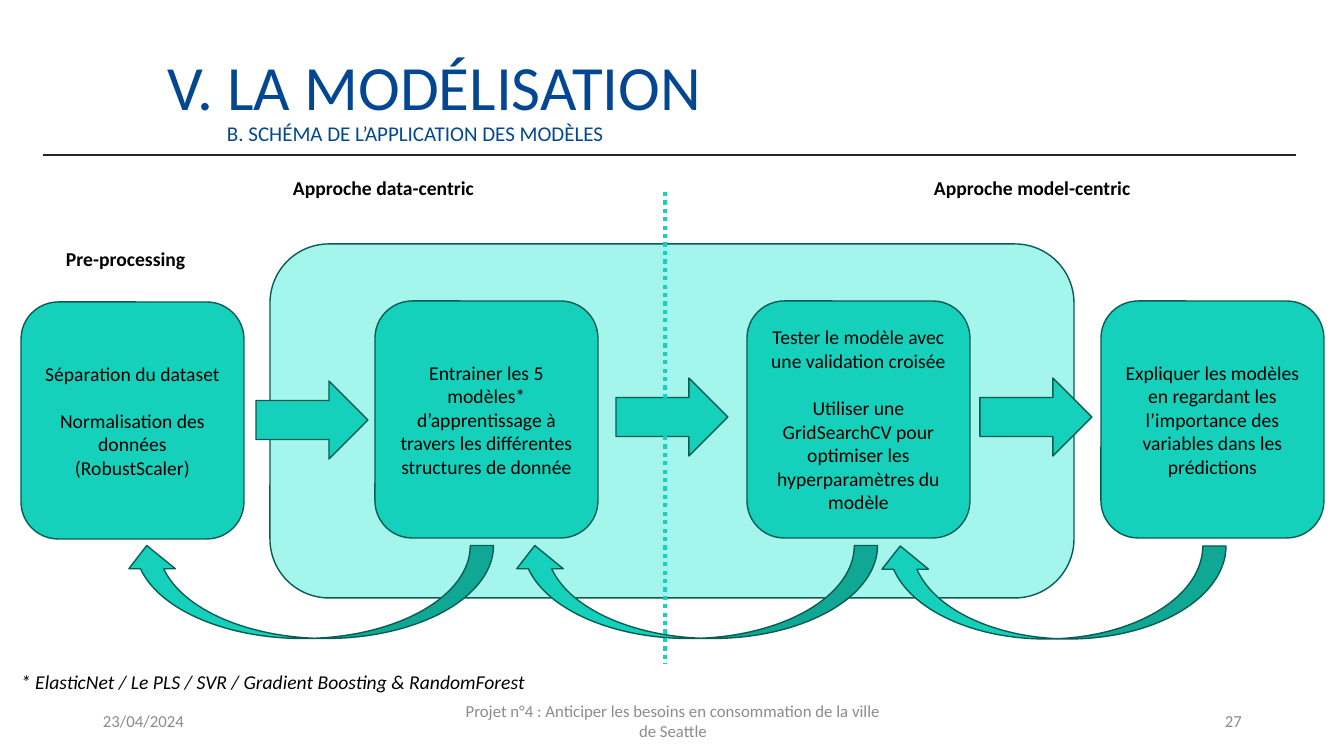
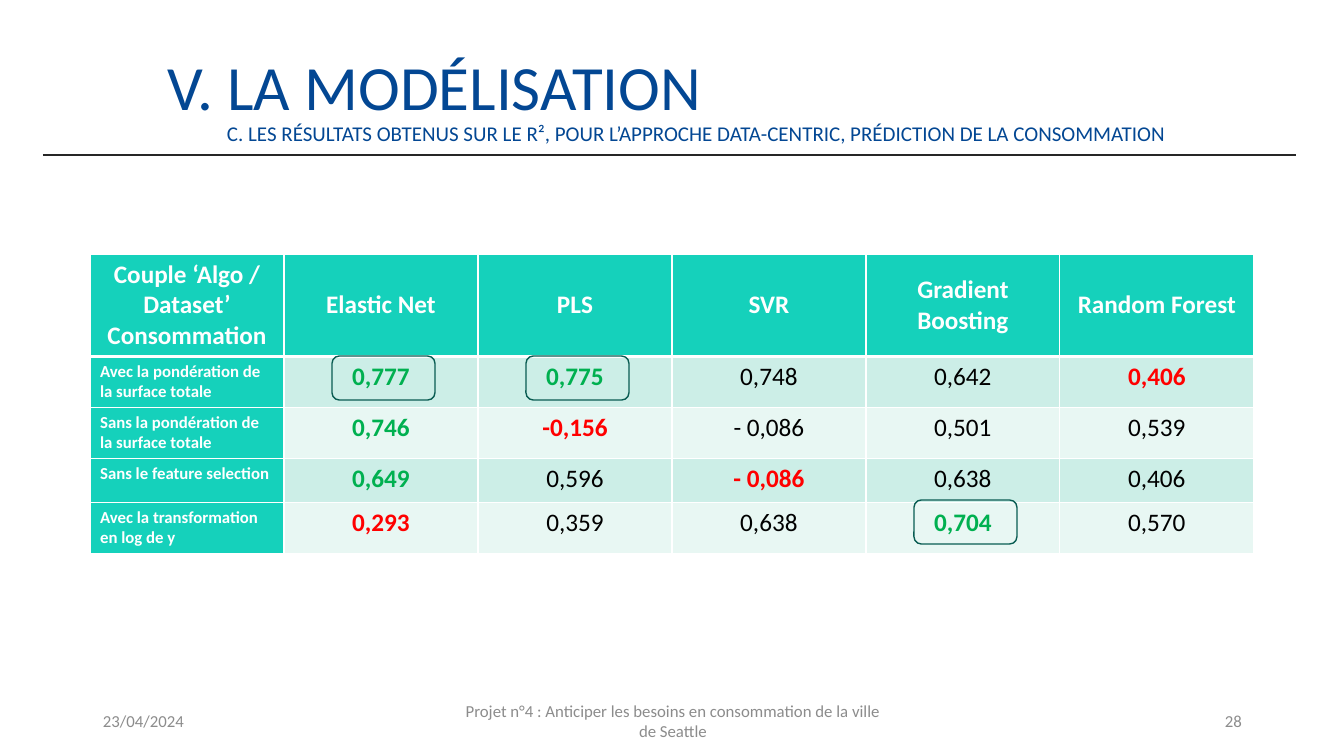
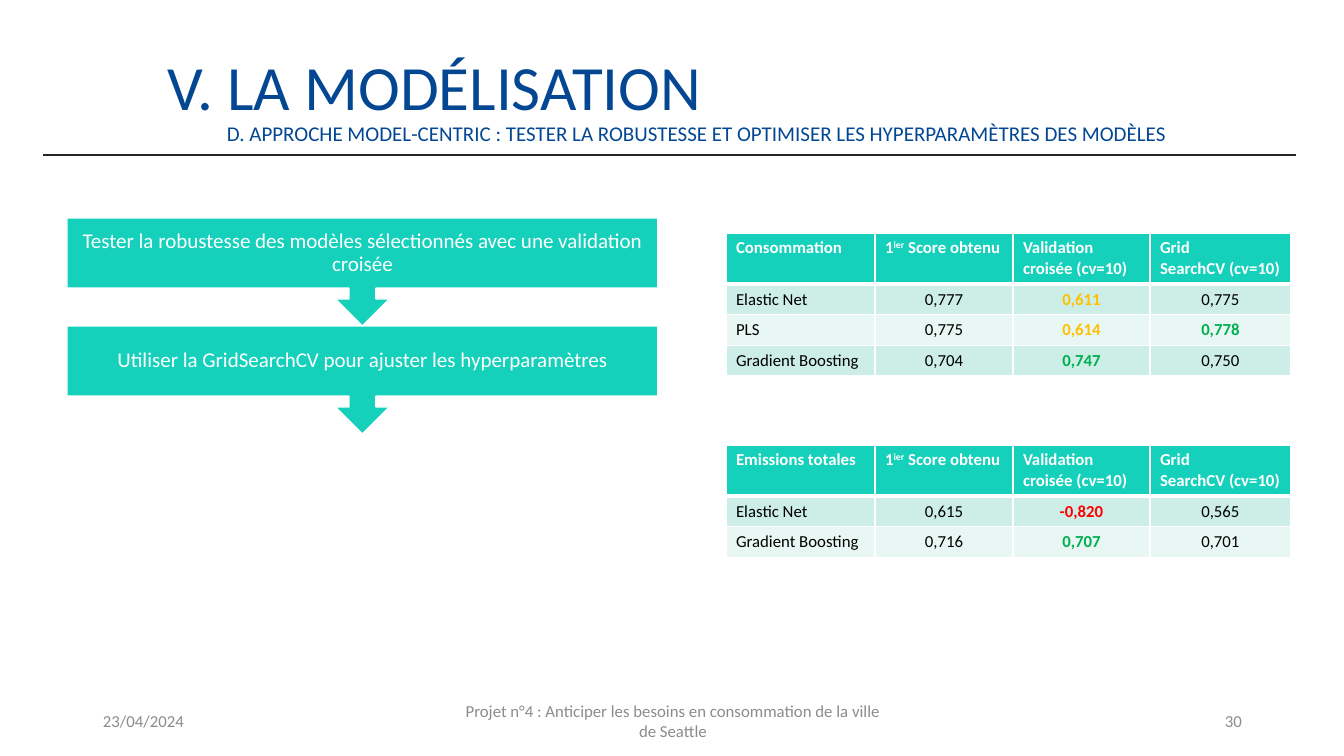
from lxml import etree
from pptx import Presentation
from pptx.dml.color import RGBColor
from pptx.enum.dml import MSO_LINE
from pptx.enum.shapes import MSO_CONNECTOR, MSO_SHAPE as SHAPE
from pptx.enum.text import MSO_ANCHOR as ANCHOR, PP_ALIGN as ALIGN
from pptx.oxml import parse_xml
from pptx.oxml.ns import nsdecls, qn
from pptx.util import Pt

SCALE = 914400 / 100.8
FONT = "Calibri"
TEAL = RGBColor(0x15, 0xD1, 0xBB)
PALE_TEAL = RGBColor(0xA4, 0xF6, 0xEC)
DARK_TEAL = RGBColor(0x09, 0x5C, 0x52)
BAND_DARK = RGBColor(0xCC, 0xEE, 0xE7)
BAND_LIGHT = RGBColor(0xE8, 0xF7, 0xF3)
NAVY = RGBColor(0x03, 0x47, 0x93)
CHARCOAL = RGBColor(0x26, 0x26, 0x26)
GREY = RGBColor(0x8C, 0x8C, 0x8C)
BLACK = RGBColor(0, 0, 0)
WHITE = RGBColor(0xFF, 0xFF, 0xFF)
GREEN = RGBColor(0, 0xB0, 0x50)
RED = RGBColor(0xFF, 0, 0)
AMBER = RGBColor(0xFF, 0xC0, 0)
MARKS = {"+": GREEN, "!": RED, "~": AMBER}


def px(*lengths):
    return [round(length * SCALE) for length in lengths]


def write(frame, text, size=14, color=BLACK, bold=False, italic=False, align=ALIGN.LEFT,
          anchor=ANCHOR.TOP, side=10, spacing=None, gap=0):
    frame.word_wrap = True
    frame.vertical_anchor = anchor
    frame.margin_left, frame.margin_right, frame.margin_top, frame.margin_bottom = px(side, side, 5, 5)
    for index, line in enumerate(text.split("\n")):
        paragraph = frame.add_paragraph() if index else frame.paragraphs[0]
        paragraph.alignment = align
        if spacing:
            paragraph.line_spacing = spacing
        if gap and index == 1:
            paragraph.space_before = Pt(gap)
        for part, piece in enumerate(line.split("^")):
            run = paragraph.add_run()
            run.text = piece
            font = run.font
            font.name, font.size, font.bold, font.italic = FONT, Pt(size), bold, italic
            font.color.rgb = color
            if part % 2:
                run._r.get_or_add_rPr().set("baseline", "30000")


presentation = Presentation()
presentation.slide_width, presentation.slide_height = px(1344, 756)

headings = [
    ("B. SCHÉMA DE L’APPLICATION DES MODÈLES", "27"),
    ("C. LES RÉSULTATS OBTENUS SUR LE R², POUR L’APPROCHE DATA-CENTRIC, PRÉDICTION DE LA CONSOMMATION", "28"),
    ("D. APPROCHE MODEL-CENTRIC : TESTER LA ROBUSTESSE ET OPTIMISER LES HYPERPARAMÈTRES DES MODÈLES", "30"),
]
footer = "Projet n°4 : Anticiper les besoins en consommation de la ville de Seattle"
footer_style = dict(size=12, color=GREY, anchor=ANCHOR.MIDDLE)
heading_style = dict(color=NAVY, side=0, spacing=0.9)
slides, texts, lines = [], [], []
for subtitle, number in headings:
    slide = presentation.slides.add_slide(presentation.slide_layouts[6])
    slides.append(slide)
    lines.append((slide, (43, 155, 1296, 155), CHARCOAL, 1, MSO_LINE.SOLID))
    texts += [
        (slide, (168, 37, 1148, 92), "V. LA MODÉLISATION", dict(heading_style, size=45, anchor=ANCHOR.BOTTOM)),
        (slide, (227, 115, 1100, 40), subtitle, dict(heading_style, size=15, anchor=ANCHOR.MIDDLE)),
        (slide, (93, 701, 302, 40), "23/04/2024", footer_style),
        (slide, (446, 701, 454, 40), footer, dict(footer_style, align=ALIGN.CENTER)),
        (slide, (950, 701, 302, 40), number, dict(footer_style, align=ALIGN.RIGHT)),
    ]
schema, results, tuning = slides
lines.append((schema, (665, 192, 665, 664), TEAL, 3, MSO_LINE.ROUND_DOT))
texts += [
    (schema, (283, 171, 223, 34), "Approche data-centric", dict(bold=True)),
    (schema, (924, 171, 223, 34), "Approche model-centric", dict(bold=True)),
    (schema, (56, 242, 223, 34), "Pre-processing", dict(bold=True)),
    (schema, (11, 665, 673, 34), "* ElasticNet / Le PLS / SVR / Gradient Boosting & RandomForest", dict(italic=True)),
]

score_header = ["1^ier^ Score obtenu", "Validation croisée (cv=10)", "Grid\nSearchCV (cv=10)"]
result_style = dict(
    header=dict(size=18, align=ALIGN.CENTER, anchor=ANCHOR.MIDDLE),
    label=dict(size=12, color=WHITE, bold=True), label_fill=TEAL, value_size=18)
score_style = dict(header=dict(size=12), label=dict(size=12), label_fill=None, value_size=12)
score_widths = [149, 138, 137, 141]
tables = [
    (results, 90, 254, [194] * 6, [93] + [44] * 4, result_style, [
        ["Couple ‘Algo / Dataset’\nConsommation", "Elastic Net", "PLS", "SVR", "Gradient Boosting", "Random Forest"],
        ["Avec la pondération de la surface totale", "+0,777", "+0,775", "0,748", "0,642", "!0,406"],
        ["Sans la pondération de la surface totale", "+0,746", "!-0,156", "- 0,086", "0,501", "0,539"],
        ["Sans le feature selection", "+0,649", "0,596", "!- 0,086", "0,638", "0,406"],
        ["Avec la transformation en log de y", "!0,293", "0,359", "0,638", "+0,704", "0,570"],
    ]),
    (tuning, 726, 233, score_widths, [26] * 4, score_style, [
        ["Consommation", *score_header],
        ["Elastic Net", "0,777", "~0,611", "0,775"],
        ["PLS", "0,775", "~0,614", "+0,778"],
        ["Gradient Boosting", "0,704", "+0,747", "0,750"],
    ]),
    (tuning, 726, 445, score_widths, [26] * 3, score_style, [
        ["Emissions totales", *score_header],
        ["Elastic Net", "0,615", "!-0,820", "0,565"],
        ["Gradient Boosting", "0,716", "+0,707", "0,701"],
    ]),
]
for slide, left, top, widths, heights, style, rows in tables:
    box = px(left, top, sum(widths), sum(heights))
    table = slide.shapes.add_table(len(rows), len(widths), *box).table
    for column, width in zip(table.columns, px(*widths)):
        column.width = width
    for row, height in zip(table.rows, px(*heights)):
        row.height = height
    for row_index, row in enumerate(rows):
        for column_index, value in enumerate(row):
            cell = table.cell(row_index, column_index)
            fill = BAND_DARK if row_index % 2 else BAND_LIGHT
            if row_index == 0:
                fill = TEAL
                text_format = dict(style["header"], color=WHITE, bold=True)
            elif column_index == 0:
                fill = style["label_fill"] or fill
                text_format = style["label"]
            else:
                color = MARKS.get(value[0], BLACK)
                value = value.lstrip("+!~")
                text_format = dict(size=style["value_size"], color=color, bold=color != BLACK, align=ALIGN.CENTER)
            anchor = text_format.get("anchor", ANCHOR.TOP)
            write(cell.text_frame, value, **dict(text_format, anchor=ANCHOR.TOP))
            cell.vertical_anchor = anchor
            properties = cell._tc.get_or_add_tcPr()
            for edge in ("lnL", "lnR", "lnT", "lnB"):
                thick = (row_index, edge) in ((0, "lnB"), (1, "lnT"))
                properties.append(parse_xml(
                    f'<a:{edge} {nsdecls("a")} w="{Pt(3 if thick else 1)}"><a:solidFill>'
                    f'<a:srgbClr val="{WHITE}"/></a:solidFill></a:{edge}>'))
            cell.fill.solid()
            cell.fill.fore_color.rgb = fill

centred = dict(align=ALIGN.CENTER, anchor=ANCHOR.MIDDLE)
shapes = [(schema, SHAPE.ROUNDED_RECTANGLE, (270, 244, 804, 354), PALE_TEAL, DARK_TEAL, 0, "", {})]
steps = [
    (21, 302, "Séparation du dataset\nNormalisation des données\n(RobustScaler)"),
    (375, 301, "Entrainer les 5 modèles* d’apprentissage à travers les différentes structures de donnée"),
    (747, 301, "Tester le modèle avec une validation croisée\n"
               "Utiliser une GridSearchCV pour optimiser les hyperparamètres du modèle"),
    (1101, 301, "Expliquer les modèles en regardant les l’importance des variables dans les prédictions"),
]
for left, top, text in steps:
    shapes.append((schema, SHAPE.ROUNDED_RECTANGLE, (left, top, 223, 237), TEAL, DARK_TEAL, 0,
                   text, dict(centred, gap=17)))
for left, top in [(256, 381), (616, 378), (980, 378)]:
    shapes.append((schema, SHAPE.RIGHT_ARROW, (left, top, 112, 78), TEAL, DARK_TEAL, 0, "", {}))
for left, length in [(262, 370), (648, 366), (1005, 349)]:
    shapes.append((schema, SHAPE.CURVED_LEFT_ARROW, (left, 592 - length // 2, 93, length),
                   TEAL, DARK_TEAL, 90, "", {}))
for left, top in [(332, 356), (526, 356), (914, 500)]:
    shapes.append((results, SHAPE.ROUNDED_RECTANGLE, (left, top, 103, 44), None, DARK_TEAL, 0, "", {}))
for top, text in [(326, "Utiliser la GridSearchCV pour ajuster les hyperparamètres"),
                  (218, "Tester la robustesse des modèles sélectionnés avec une validation croisée")]:
    shapes.append((tuning, SHAPE.DOWN_ARROW_CALLOUT, (67, top, 591, 108), TEAL, WHITE, 0,
                   text, dict(centred, size=15, color=WHITE, side=12, spacing=0.9)))
for slide, kind, box, fill, outline, rotation, text, text_format in shapes:
    shape = slide.shapes.add_shape(kind, *px(*box))
    shape.shadow.inherit = False
    shape.rotation = rotation
    if fill is None:
        shape.fill.background()
    else:
        shape.fill.solid()
        shape.fill.fore_color.rgb = fill
    shape.line.color.rgb = outline
    shape.line.width = Pt(1)
    if text:
        write(shape.text_frame, text, **text_format)

for slide, ends, color, width, dash in lines:
    connector = slide.shapes.add_connector(MSO_CONNECTOR.STRAIGHT, *px(*ends))
    connector.line.color.rgb = color
    connector.line.width = Pt(width)
    connector.line.dash_style = dash
    etree.SubElement(connector._element.spPr, qn("a:effectLst"))

for slide, box, text, text_format in texts:
    write(slide.shapes.add_textbox(*px(*box)).text_frame, text, **text_format)

presentation.save("out.pptx")
